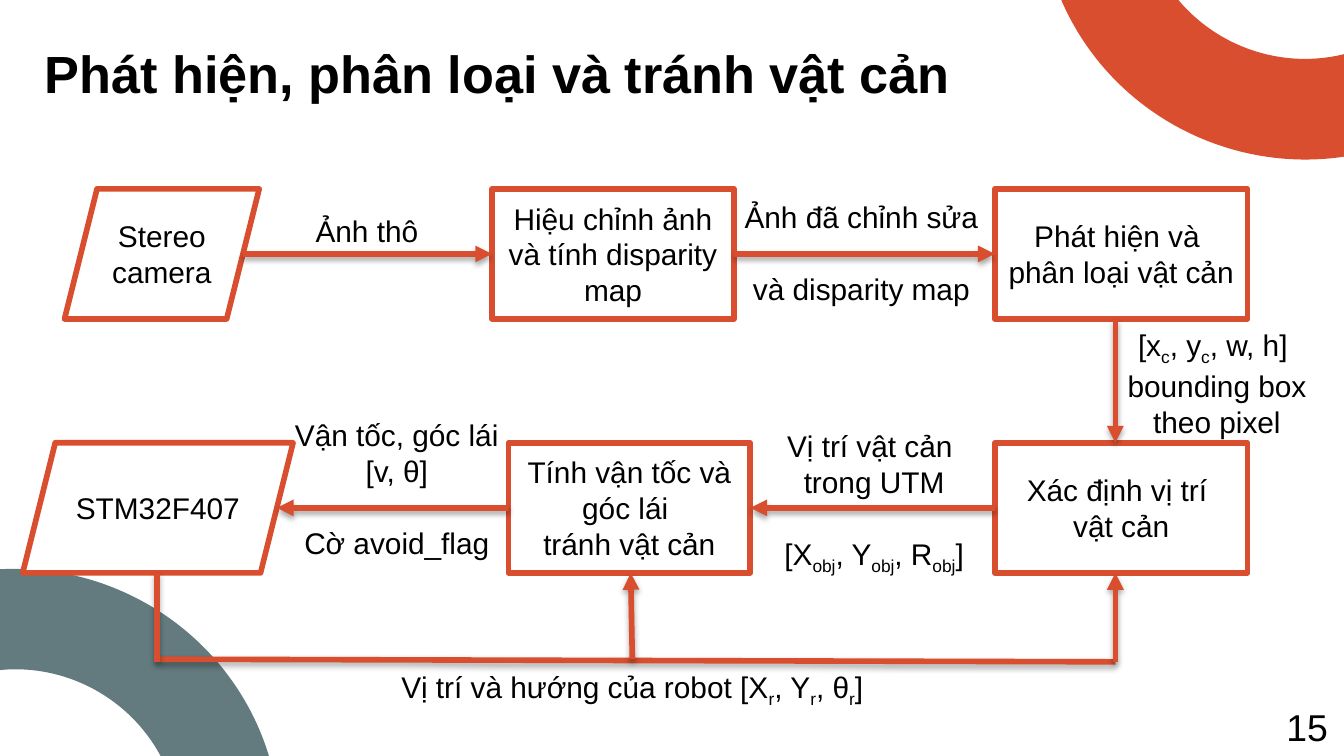
import lxml.etree
import pptx
import pptx.dml.color
import pptx.enum.shapes
import pptx.enum.text
import pptx.oxml.ns
import pptx.util

Cm = pptx.util.Cm
Pt = pptx.util.Pt
SHAPES = pptx.enum.shapes.MSO_SHAPE
FIT = pptx.enum.text.MSO_AUTO_SIZE
COLORS = {"orange": "D84E2E", "teal": "637B7F", "paper": "FFFFFF", "ink": "000000"}
BODY = {"name": "Arial", "size": Pt(16), "bold": False}
HEADING = {"name": "Arial", "size": Pt(28), "bold": True}
NUMBER = {"name": "Arial", "size": Pt(20), "bold": False}


def color(name):
    """Return the named palette colour."""
    return pptx.dml.color.RGBColor.from_string(COLORS[name])


def add_node(parent, tag, **attributes):
    """Append a DrawingML element to its parent."""
    return lxml.etree.SubElement(parent, pptx.oxml.ns.qn(tag), attributes)


def write(frame, lines, style=BODY, align="CENTER", gap=0):
    """Write paragraphs, with subscripts between bars and a gap before the last."""
    for index, line in enumerate(lines):
        para = frame.paragraphs[0] if index == 0 else frame.add_paragraph()
        para.alignment = getattr(pptx.enum.text.PP_ALIGN, align)
        if gap and index and index == len(lines) - 1:
            para.space_before = Pt(gap)
        for position, text in enumerate(line.split("|")):
            span = para.add_run()
            span.text = text
            for key, value in style.items():
                setattr(span.font, key, value)
            span.font.color.rgb = color("ink")
            if position % 2:
                span._r.get_or_add_rPr().set("baseline", "-25000")


def add_label(page, box, lines, wrap=False, **options):
    """Add a text box that grows with its text."""
    frame = page.shapes.add_textbox(*map(Cm, box)).text_frame
    frame.word_wrap = wrap
    frame.auto_size = FIT.SHAPE_TO_FIT_TEXT
    write(frame, lines, **options)
    return frame


def add_line(page, start, end, arrow=True):
    """Add a softly shadowed line, with an arrowhead at its end if wanted."""
    line = page.shapes.add_connector(
        pptx.enum.shapes.MSO_CONNECTOR.STRAIGHT, *map(Cm, (*start, *end)))
    line.line.color.rgb = color("orange")
    line.line.width = Pt(3)
    if arrow:
        add_node(line.line._get_or_add_ln(), "a:tailEnd", type="triangle")
    effects = add_node(line._element.spPr, "a:effectLst")
    shadow = add_node(effects, "a:outerShdw", blurRad=str(Pt(3.1)),
                      dist=str(Pt(1.8)), dir="5400000", rotWithShape="0")
    shade = add_node(shadow, "a:srgbClr", val=COLORS["ink"])
    add_node(shade, "a:alpha", val="35000")


def add_ring(page, box, band, rotation, fill):
    """Add a rotated quarter ring whose inner radius is a share of the outer one."""
    left, top, size = box
    bend, rim = 0.55, 1 - band
    points = [(0, 0), (bend, 0), (1, 1 - bend), (1, 1), (band, 1),
              (band, 1 - bend * band), (bend * band, rim), (0, rim)]
    spots = [(Cm(left + x * size), Cm(top + y * size)) for x, y in points]
    builder = page.shapes.build_freeform(*spots[0])
    builder.add_line_segments(spots[1:])
    ring = builder.convert_to_shape()
    sides = list(ring._element.iter(pptx.oxml.ns.qn("a:lnTo")))
    for first in (0, 4):
        curve = lxml.etree.Element(pptx.oxml.ns.qn("a:cubicBezTo"))
        sides[first].addprevious(curve)
        for side in sides[first:first + 3]:
            curve.append(side[0])
            side.getparent().remove(side)
    ring.rotation = rotation
    ring.shadow.inherit = False
    ring.fill.solid()
    ring.fill.fore_color.rgb = color(fill)
    ring.line.fill.background()


def add_stage(page, box, kind, lines):
    """Add one outlined stage of the flow."""
    stage = page.shapes.add_shape(kind, *map(Cm, box))
    stage.shadow.inherit = False
    stage.fill.solid()
    stage.fill.fore_color.rgb = color("paper")
    stage.line.color.rgb = color("orange")
    stage.line.width = Pt(3)
    stage.text_frame.word_wrap = True
    stage.text_frame.vertical_anchor = pptx.enum.text.MSO_ANCHOR.MIDDLE
    write(stage.text_frame, lines)


def add_row(page, box, stages, labels, leftward=False):
    """Add a row of stages, a slanted one first, joined by labelled arrows."""
    left, top, _, height = box
    middle = top + height / 2
    for (x, y, width, depth), lines in labels:
        add_label(page, (left + x, top + y, width, depth), lines, gap=19.4)
    for index, (x, width, lines) in enumerate(stages):
        kind = SHAPES.RECTANGLE if index else SHAPES.PARALLELOGRAM
        add_stage(page, (left + x, top, width, height), kind, lines)
    for index in range(len(stages) - 1):
        x, width, _ = stages[index]
        slant = 0 if index else height / 8
        ends = [(left + x + width - slant, middle), (left + stages[index + 1][0], middle)]
        add_line(page, *(reversed(ends) if leftward else ends))


def add_detection_link(page, box):
    """Add the arrow down from detection to positioning with its label."""
    left, top, _, height = box
    add_label(page, (left - 0.05, *box[1:]),
              ["[x|c|, y|c|, w, h] ", "bounding box", "theo pixel"])
    add_line(page, (left, top), (left, top + height))


def add_feedback(page, box):
    """Add the robot pose path that feeds back into two stages."""
    left, top, width, height = box
    right, bottom, branch = left + width, top + height, left + 8.95
    add_line(page, (left, bottom - 0.05), (right, bottom), arrow=False)
    add_line(page, (left, top), (left, bottom), arrow=False)
    add_line(page, (right, bottom), (right, top))
    add_line(page, (branch + 0.03, bottom - 0.05), (branch, top))
    add_label(page, (left + 4.27, bottom, 9.42, 0.94),
              ["Vị trí và hướng của robot [X|r|, Y|r|, θ|r|]"])


def add_title(page, box):
    """Add the slide title."""
    frame = add_label(page, box, ["Phát hiện, phân loại và tránh vật cản"],
                      wrap=True, style=HEADING, align="LEFT")
    frame.auto_size = FIT.NONE
    for side in ("left", "top", "right", "bottom"):
        setattr(frame, f"margin_{side}", Cm(0.25))


def main():
    """Build and save the slide."""
    deck = pptx.Presentation()
    deck.slide_width, deck.slide_height = Cm(25.4), Cm(14.29)
    page = deck.slides.add_slide(deck.slide_layouts[6])
    add_ring(page, (20.85, -1.2, 5.01), 0.62, 156.5, "orange")
    add_ring(page, (-0.43, 10.19, 5), 0.62, 345, "teal")
    add_title(page, (0.6, 0.53, 20.37, 1.6))
    add_row(page, (1.22, 3.57, 22.36, 2.46), [
        (0, 3.68, ["Stereo camera"]),
        (8.08, 4.57, ["Hiệu chỉnh ảnh và tính disparity map"]),
        (17.58, 4.78, ["Phát hiện và ", "phân loại vật cản"]),
    ], [
        ((4.47, 0.32, 2.49, 0.94), ["Ảnh thô"]),
        ((12.57, 0.06, 4.98, 2.31), ["Ảnh đã chỉnh sửa", "và disparity map"]),
    ])
    add_row(page, (0.43, 8.37, 23.15, 2.46), [
        (0, 5.11, ["STM32F407"]),
        (9.18, 4.57, ["Tính vận tốc và góc lái ", "tránh vật cản"]),
        (18.37, 4.78, ["Xác định vị trí ", "vật cản"]),
    ], [
        ((4.86, -0.62, 4.42, 3), ["Vận tốc, góc lái", "[v, θ]", "Cờ avoid_flag"]),
        ((14.02, -0.41, 4.14, 3),
         ["Vị trí vật cản ", "trong UTM", "[X|obj|, Y|obj|, R|obj|]"]),
    ], leftward=True)
    add_detection_link(page, (21.08, 6.05, 3.94, 2.32))
    add_feedback(page, (2.97, 10.83, 18.11, 1.68))
    add_label(page, (24.03, 13.18, 1.35, 1.11), ["15"], wrap=True, style=NUMBER)
    deck.save("out.pptx")


if __name__ == "__main__":
    main()
